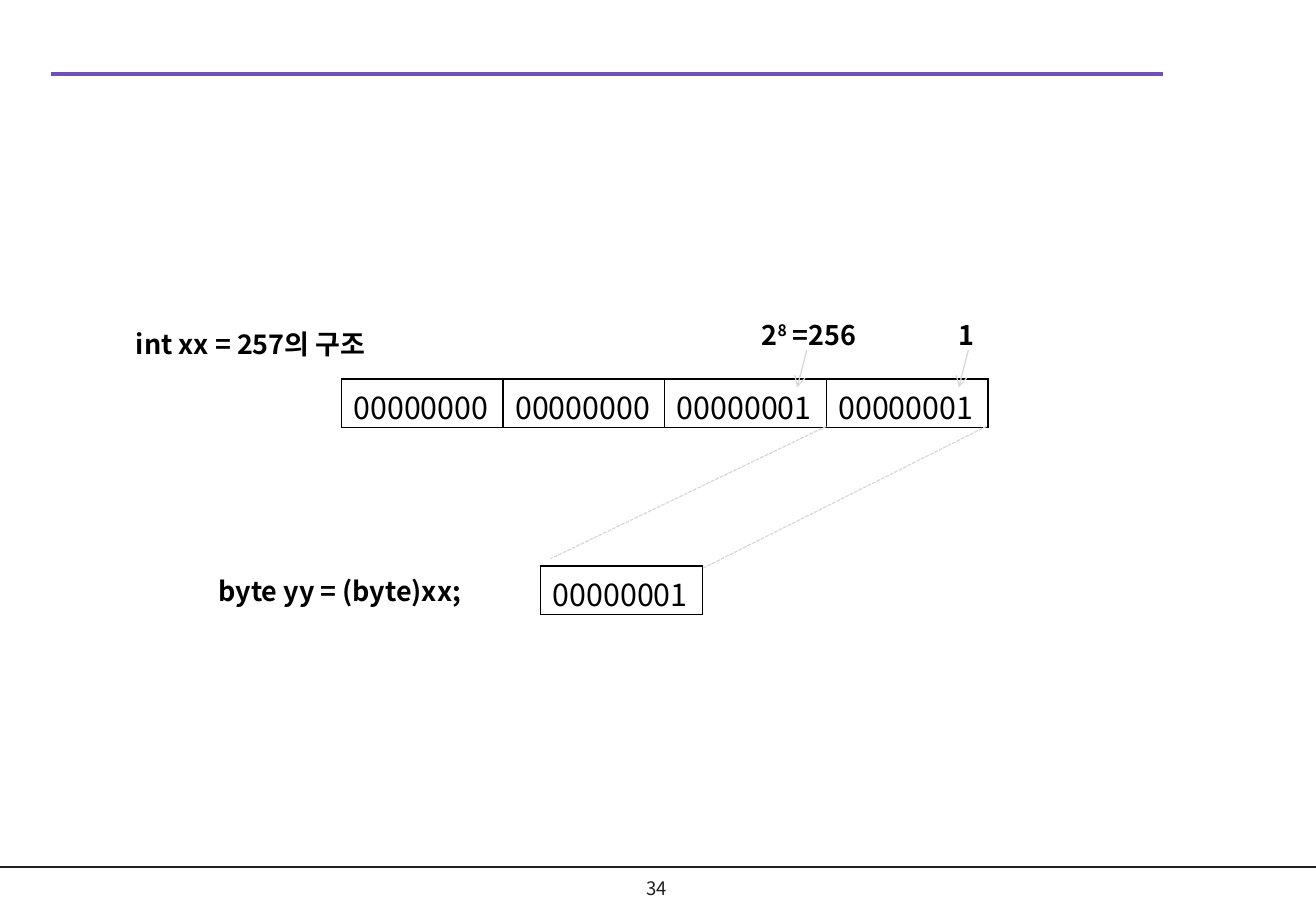
"""Build a slide that shows how an int is cut down to a byte."""
from lxml import etree
from pptx import Presentation
from pptx.dml.color import RGBColor
from pptx.enum import dml, shapes, text
from pptx.oxml import ns
from pptx.util import Inches, Pt

FONT = "Noto Sans CJK KR"
COLORS = {"ink": "000000", "footer": "221F1F", "title": "724FB7", "guide": "D8D8D8"}

INT_BYTES = ["00000000", "00000000", "00000001", "00000001"]
LOW_BYTE = "00000001"
INT_LEFT, INT_TOP = 2.81, 3.12
BYTE_LEFT, BYTE_TOP = 4.45, 4.66
CELL_WIDTH, CELL_HEIGHT = 1.33, 0.4

LABELS = [
    ([("int xx = 257의 구조", False)], 1.02, 2.65, 2.44),
    ([("2", False), ("8", True), (" =256", False)], 6.17, 2.57, 1.11),
    ([("1", False)], 7.79, 2.57, 0.34),
    ([("byte yy = (byte)xx;", False)], 1.7, 4.68, 2.34),
]
RULES = [
    ((0, 7.14), (10.84, 7.14), "footer", 1),
    ((0.42, 0.61), (9.57, 0.61), "title", 2.25),
]
POINTERS = [((left, 2.88), (left - 0.08, 3.19)) for left in (6.64, 6.64 + CELL_WIDTH)]
PROJECTIONS = [((8.12, 3.51), (5.78, 4.68)), ((6.8, 3.51), (4.53, 4.6))]


def style_run(run, size, color="ink", bold=False):
    run.font.name = FONT
    run.font.size = Pt(size)
    run.font.bold = bold
    run.font.color.rgb = RGBColor.from_string(COLORS[color])
    east_asian = etree.SubElement(run.font._element, ns.qn("a:ea"))
    east_asian.set("typeface", FONT)


def add_line(slide, start, end, color, width):
    line = slide.shapes.add_connector(
        shapes.MSO_CONNECTOR.STRAIGHT, *[Inches(value) for value in start + end])
    line.line.color.rgb = RGBColor.from_string(COLORS[color])
    line.line.width = Pt(width)
    etree.SubElement(line._element.spPr, ns.qn("a:effectLst"))
    return line


def add_label(slide, pieces, left, top, width):
    box = slide.shapes.add_textbox(*[Inches(value) for value in (left, top, width, 0.4)])
    box.text_frame.word_wrap = False
    paragraph = box.text_frame.paragraphs[0]
    for content, raised in pieces:
        run = paragraph.add_run()
        run.text = content
        style_run(run, 16, bold=True)
        if raised:
            run.font._element.set("baseline", "30000")


def add_border(cell):
    properties = cell._tc.get_or_add_tcPr()
    for position, side in enumerate(("lnL", "lnR", "lnT", "lnB")):
        border = etree.Element(ns.qn(f"a:{side}"), w=str(Pt(1)))
        fill = etree.SubElement(border, ns.qn("a:solidFill"))
        etree.SubElement(fill, ns.qn("a:srgbClr"), val=COLORS["ink"])
        properties.insert(position, border)


def add_byte(slide, bits, left, top):
    table = slide.shapes.add_table(
        1, 1, *[Inches(value) for value in (left, top, CELL_WIDTH, CELL_HEIGHT)]).table
    table.first_row = table.horz_banding = False
    cell = table.cell(0, 0)
    cell.fill.background()
    cell.margin_left = cell.margin_right = Inches(0.1)
    cell.margin_top, cell.margin_bottom = Inches(0.04), 0
    cell.text_frame.text = bits
    style_run(cell.text_frame.paragraphs[0].runs[0], 18)
    add_border(cell)


def add_page_number(slide, number):
    box = slide.shapes.add_textbox(Inches(5.1), Inches(7.15), Inches(0.61), Inches(0.33))
    box.text_frame.word_wrap = True
    box.text_frame.vertical_anchor = text.MSO_ANCHOR.MIDDLE
    box.text_frame.text = number
    paragraph = box.text_frame.paragraphs[0]
    paragraph.alignment = text.PP_ALIGN.CENTER
    style_run(paragraph.runs[0], 11, "footer")


def main():
    presentation = Presentation()
    presentation.slide_width, presentation.slide_height = Inches(10.83), Inches(7.5)
    slide = presentation.slides.add_slide(presentation.slide_layouts[6])
    for rule in RULES:
        add_line(slide, *rule)
    add_page_number(slide, "34")
    for index, bits in enumerate(INT_BYTES):
        add_byte(slide, bits, INT_LEFT + index * CELL_WIDTH, INT_TOP)
    add_byte(slide, LOW_BYTE, BYTE_LEFT, BYTE_TOP)
    for label in LABELS:
        add_label(slide, *label)
    for start, end in POINTERS:
        pointer = add_line(slide, start, end, "guide", 0.75)
        etree.SubElement(pointer.line._get_or_add_ln(), ns.qn("a:tailEnd"), type="arrow")
    for start, end in PROJECTIONS:
        projection = add_line(slide, start, end, "guide", 0.75)
        projection.line.dash_style = dml.MSO_LINE.SQUARE_DOT
    presentation.save("out.pptx")


if __name__ == "__main__":
    main()
